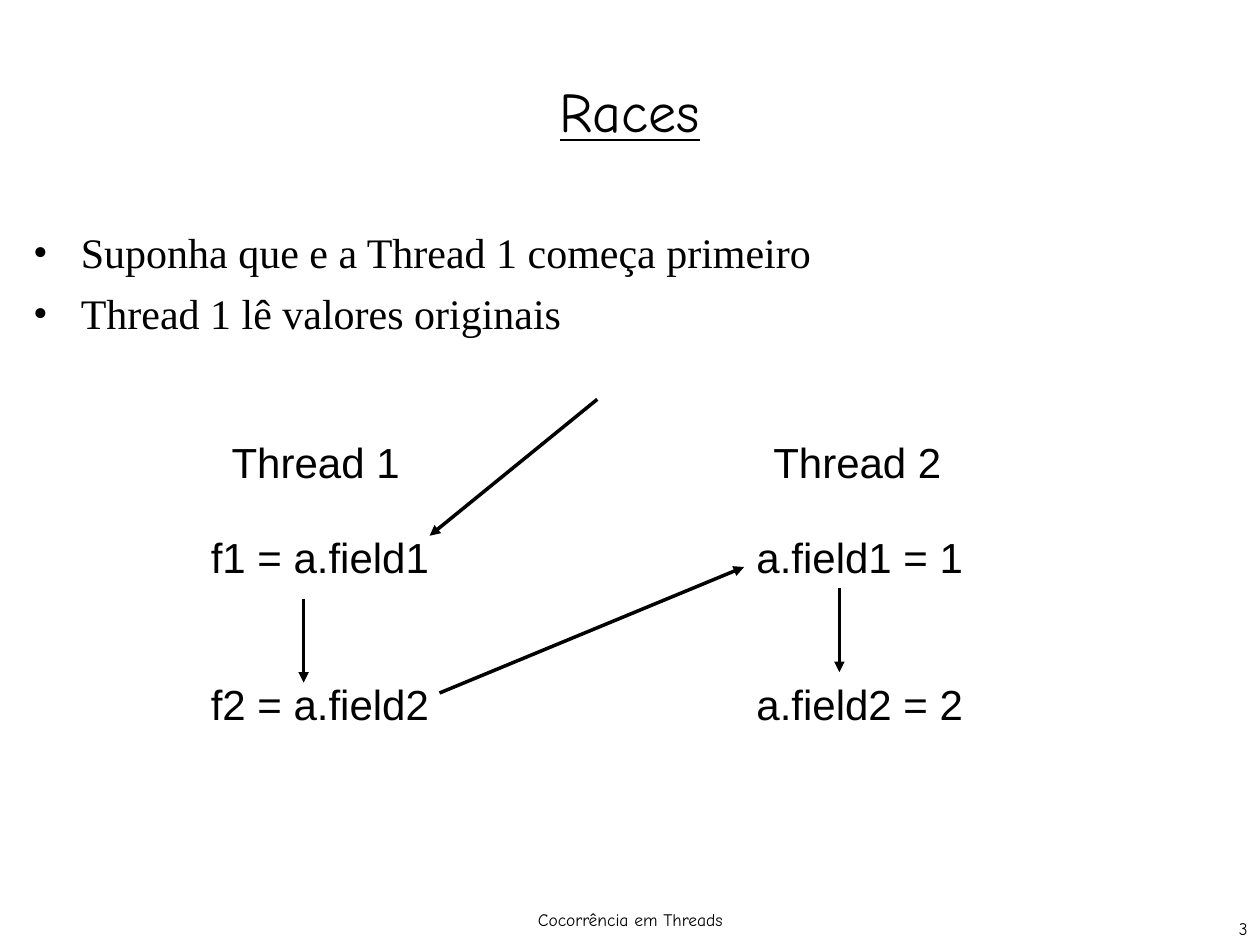
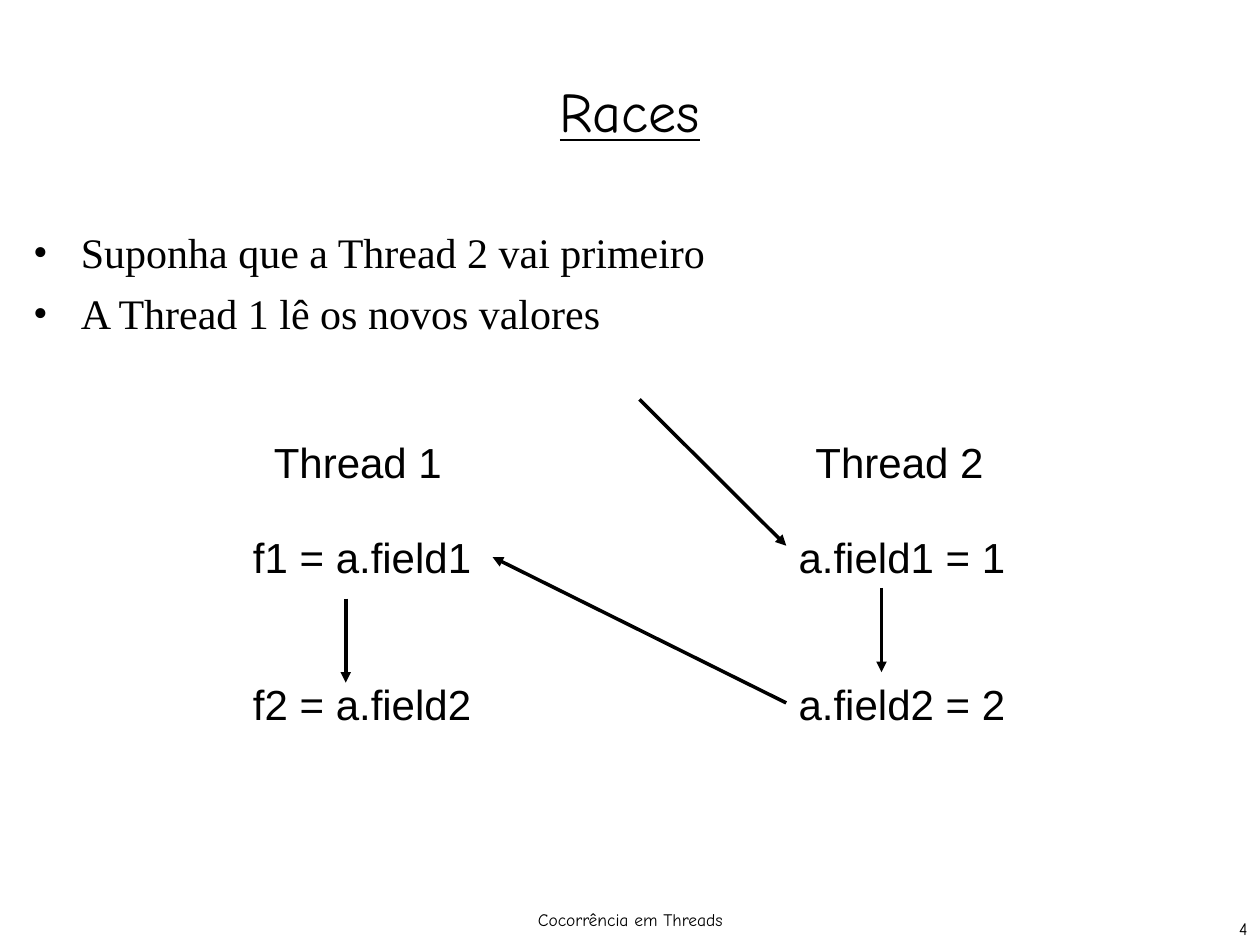
"""Build two slides that show how a race between two threads can turn out."""
import pptx
import pptx.dml.color
import pptx.enum.shapes
import pptx.enum.text
import pptx.oxml
import pptx.oxml.ns
import pptx.util

Cm = pptx.util.Cm
Pt = pptx.util.Pt
ALIGN = pptx.enum.text.PP_ALIGN
ANCHOR = pptx.enum.text.MSO_ANCHOR
BLACK = pptx.dml.color.RGBColor(0, 0, 0)
WHITE = pptx.dml.color.RGBColor(255, 255, 255)

TITLE_FONT = {"name": "Comic Neue", "size": Pt(32), "underline": True}
BODY_FONT = {"name": "Times New Roman", "size": Pt(24)}
CODE_FONT = {"name": "Arial", "size": Pt(24)}
FOOTER_FONT = {"name": "Comic Neue", "size": Pt(10)}

TITLE_FRAME = {"word_wrap": True, "vertical_anchor": ANCHOR.MIDDLE}
BODY_FRAME = {"word_wrap": True}

CENTRED = {"alignment": ALIGN.CENTER}
RIGHT = {"alignment": ALIGN.RIGHT}
LEFT = {"alignment": ALIGN.LEFT}
BULLETED = {"alignment": ALIGN.LEFT, "space_before": Pt(6)}

BULLET_INDENT = Cm(0.96)
START = (12.04, 8.05)
LABELS = [
    ("Thread 1", 4.42, 8.68, 4.2),
    ("Thread 2", 15.34, 8.68, 4.2),
    ("f1 = a.field1", 4, 10.58, 5.2),
    ("f2 = a.field2", 4, 13.55, 5.2),
    ("a.field1 = 1", 15, 10.58, 5),
    ("a.field2 = 2", 15, 13.55, 5),
]
THREAD_ARROWS = [((6.12, 12.07), (6.12, 13.76)), ((16.92, 11.85), (16.92, 13.55))]

RACES = [
    {
        "number": 3,
        "bullets": ["Suponha que e a Thread 1 começa primeiro", "Thread 1 lê valores originais"],
        "shift": 0,
        "arrows": [(START, (8.66, 10.8)), ((8.86, 13.97), (15, 11.43))],
    },
    {
        "number": 4,
        "bullets": ["Suponha que a Thread 2 vai primeiro", "A Thread 1 lê os novos valores"],
        "shift": 0.85,
        "arrows": [(START, (15, 11)), ((15, 14.17), (9.08, 11.23))],
    },
]


def apply_format(target, values):
    """Set every attribute named in values on the target."""
    for name, value in values.items():
        setattr(target, name, value)


def append_xml(parent, tag, attributes=""):
    """Append an empty drawing element to the parent."""
    namespace = pptx.oxml.ns.nsdecls("a")
    parent.append(pptx.oxml.parse_xml(f"<a:{tag} {namespace} {attributes}/>"))


def add_text(slide, box, lines, font, paragraph_format, frame_format=BODY_FRAME):
    """Add a text box with one paragraph per line and return its paragraphs."""
    frame = slide.shapes.add_textbox(*map(Cm, box)).text_frame
    apply_format(frame, frame_format)
    frame.text = "\n".join(lines)
    for paragraph in frame.paragraphs:
        apply_format(paragraph, paragraph_format)
        for run in paragraph.runs:
            apply_format(run.font, font)
            run.font.color.rgb = BLACK
    return frame.paragraphs


def add_bullets(slide, lines):
    """Add the bulleted statements under the title."""
    box = (0.42, 4.45, 24.56, 3.55)
    for paragraph in add_text(slide, box, lines, BODY_FONT, BULLETED):
        properties = paragraph._p.get_or_add_pPr()
        properties.set("marL", str(BULLET_INDENT))
        properties.set("indent", str(-BULLET_INDENT))
        append_xml(properties, "buFont", f'typeface="{BODY_FONT["name"]}"')
        append_xml(properties, "buChar", 'char="•"')


def add_arrow(slide, begin, end, shift):
    """Add a black arrow between two points, moved right by shift."""
    (begin_x, begin_y), (end_x, end_y) = begin, end
    connector = slide.shapes.add_connector(
        pptx.enum.shapes.MSO_CONNECTOR.STRAIGHT,
        Cm(begin_x + shift), Cm(begin_y), Cm(end_x + shift), Cm(end_y),
    )
    connector.line.color.rgb = BLACK
    connector.line.width = Pt(2)
    append_xml(connector.line._get_or_add_ln(), "tailEnd", 'type="triangle"')
    append_xml(connector._element.spPr, "effectLst")


def add_diagram(slide, shift, arrows):
    """Add both threads' statements and the arrows giving their order."""
    for text, left, top, width in LABELS:
        add_text(slide, (left + shift, top, width, 1.27), [text], CODE_FONT, LEFT)
    for begin, end in THREAD_ARROWS + arrows:
        add_arrow(slide, begin, end, shift)


def add_frame(slide, number):
    """Add the background, title, footer and number that the slides share."""
    slide.background.fill.solid()
    slide.background.fill.fore_color.rgb = WHITE
    add_text(slide, (0, 0.64, 25.4, 3.18), ["Races"], TITLE_FONT, CENTRED, TITLE_FRAME)
    add_text(slide, (8.68, 18.2, 8.05, 1.27), ["Cocorrência em Threads"], FOOTER_FONT, CENTRED)
    add_text(slide, (20.12, 18.39, 5.28, 1.27), [str(number)], FOOTER_FONT, RIGHT)


def main():
    """Build the slides and save the presentation."""
    presentation = pptx.Presentation()
    presentation.slide_width = Cm(25.4)
    presentation.slide_height = Cm(19.05)
    for race in RACES:
        slide = presentation.slides.add_slide(presentation.slide_layouts[6])
        add_frame(slide, race["number"])
        add_bullets(slide, race["bullets"])
        add_diagram(slide, race["shift"], race["arrows"])
    presentation.save("out.pptx")


if __name__ == "__main__":
    main()
